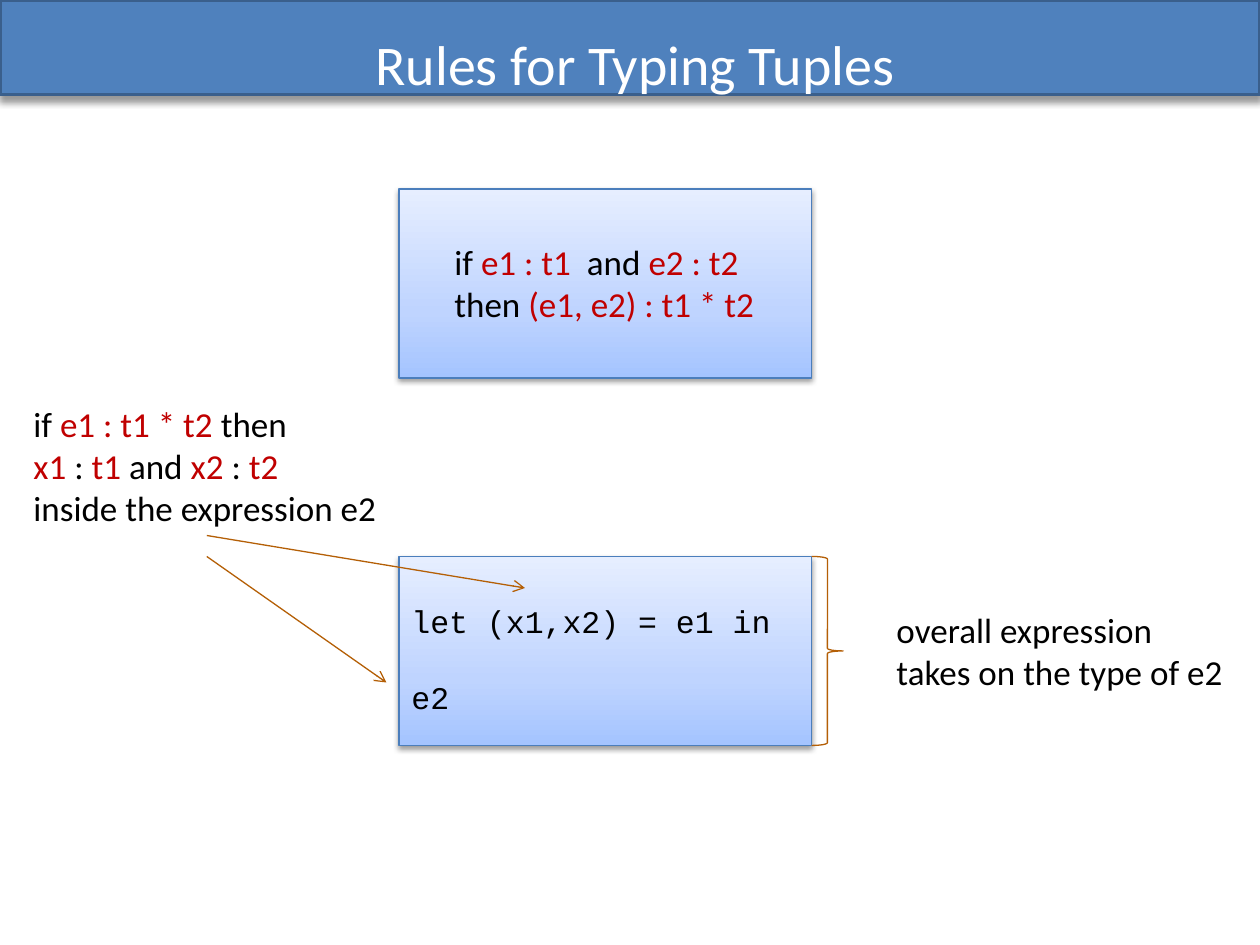
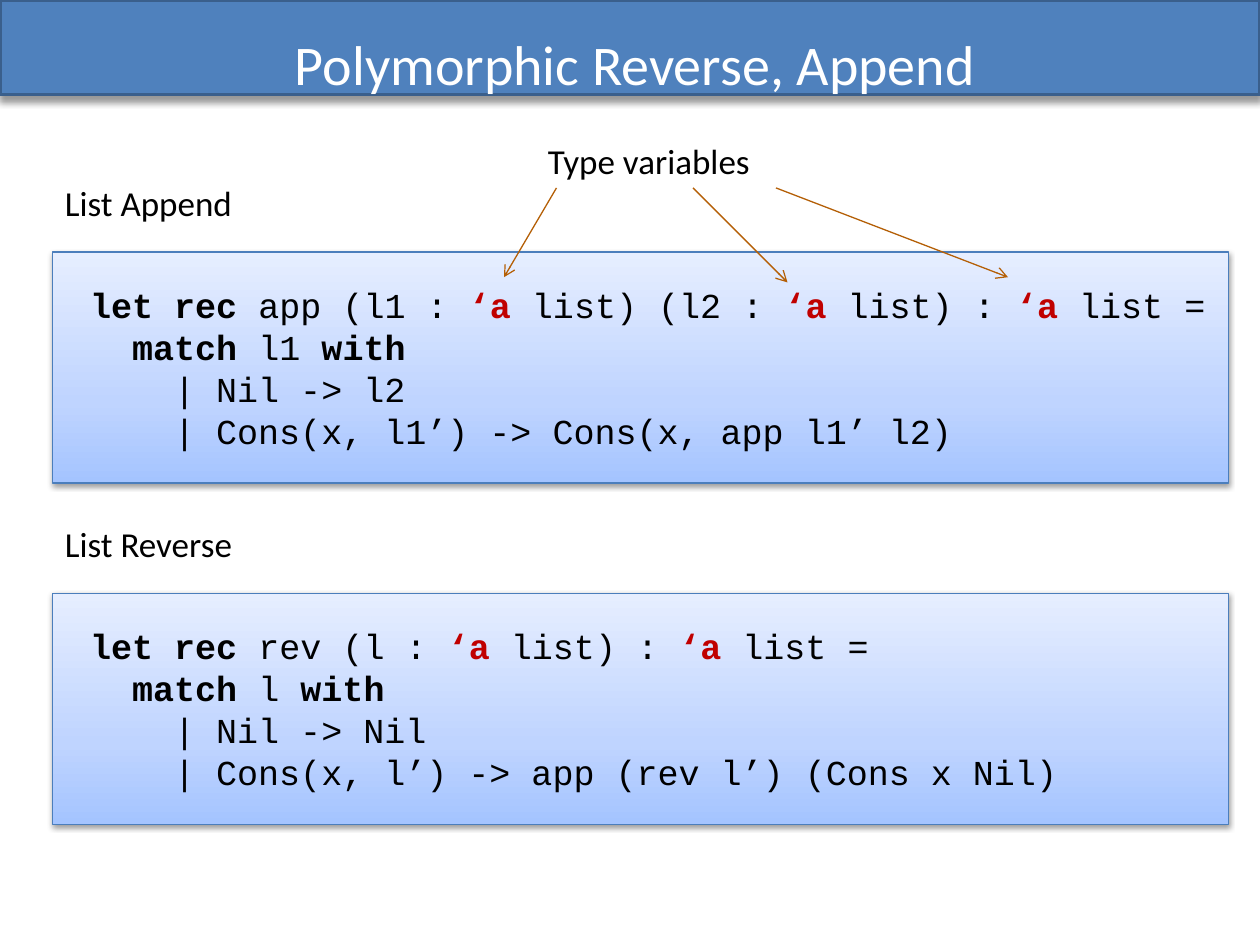
from pptx import Presentation
from pptx.dml.color import RGBColor as RGB
from pptx.enum.shapes import MSO_CONNECTOR as LINK, MSO_SHAPE as SHAPE
from pptx.enum.text import MSO_ANCHOR as ANCHOR, MSO_AUTO_SIZE as AUTO, PP_ALIGN as ALIGN
from pptx.oxml import parse_xml
from pptx.oxml.ns import nsdecls, qn
from pptx.util import Inches, Pt

HUE = {"band": "4F81BD", "edge": "3A5F8C", "rim": "4B7EBC", "low": "A4C4FF", "mid": "BFD4FF",
       "top": "E6EEFF", "link": "B45F06", "mark": "C00000", "ink": "000000", "white": "FFFFFF"}
SANS, MONO = "Calibri", "Courier New"

deck = Presentation()
deck.slide_width, deck.slide_height = Inches(10), Inches(7.5)
CELL = deck.slide_width / 120  # grid of 120 columns and 90 rows


def block(page, at, rim, width, blur, drop, dim):
    """Rectangle with an outline and a soft shadow straight below it."""
    box = page.shapes.add_shape(SHAPE.RECTANGLE, *[round(n * CELL) for n in at])
    box.line.color.rgb = RGB.from_string(HUE[rim])
    box.line.width = Pt(width)
    box.shadow.inherit = False
    box.element.spPr.find(qn("a:effectLst")).append(parse_xml(
        f'<a:outerShdw {nsdecls("a")} blurRad="{Pt(blur)}" dist="{Pt(drop)}" dir="5400000" '
        f'rotWithShape="0"><a:srgbClr val="{HUE["ink"]}"><a:alpha val="{dim * 1000}"/>'
        '</a:srgbClr></a:outerShdw>'))
    return box


def write(frame, lines, font=SANS, size=20):
    """Fill a frame; every second part between ^ signs is stressed."""
    frame.text = "\n".join(lines)
    for para, line in zip(frame.paragraphs, lines):
        para.text = ""
        para.alignment = ALIGN.LEFT
        for i, part in enumerate(line.split("^")):
            if not part:
                continue
            run = para.add_run()
            run.text = part
            run.font.name, run.font.size = font, Pt(size)
            run.font.bold = font == MONO and i % 2 == 1
            red = i % 2 == 1 and (font == SANS or part.startswith("‘"))
            run.font.color.rgb = RGB.from_string(HUE["mark" if red else "ink"])


# Slides with their titles
look = deck.slide_layouts[5]
pages = []
for name in ("Rules for Typing Tuples", "Polymorphic Reverse, Append"):
    page = deck.slides.add_slide(look)
    title = page.shapes.title
    title.left, title.top, title.width, title.height = [
        round(n * CELL) for n in (6.5, -1.5, 108, 15)]
    title.text_frame.text = name
    title.text_frame.vertical_anchor = ANCHOR.MIDDLE
    para = title.text_frame.paragraphs[0]
    para.alignment = ALIGN.CENTER
    font = para.runs[0].font
    font.name, font.size = SANS, Pt(32)
    font.color.rgb = RGB.from_string(HUE["white"])
    pages.append(page)
rules, lists = pages

# Band, shared through the layout
band = block(rules, (0, 0, 120, 9), "edge", 2, 4, 3, 40)
band.fill.solid()
band.fill.fore_color.rgb = RGB.from_string(HUE["band"])
band.element.nvSpPr.cNvPr.set("id", "20")
look.placeholders[0].element.addprevious(band.element)

# Shaded panels
panels = []
for page, at in [(rules, (38, 18, 39.3, 18)), (rules, (38, 53, 39.3, 18)),
                 (lists, (5, 24, 112, 22)), (lists, (5, 56.5, 112, 22))]:
    panel = block(page, at, "rim", 0.75, 3.1, 1.6, 38)
    stops = "".join(f'<a:gs pos="{pos}000"><a:srgbClr val="{HUE[key]}"/></a:gs>'
                    for pos, key in ((0, "low"), (35, "mid"), (100, "top")))
    panel.element.spPr.insert(2, parse_xml(
        f'<a:gradFill {nsdecls("a")} rotWithShape="1"><a:gsLst>{stops}</a:gsLst>'
        '<a:lin ang="16200000" scaled="0"/></a:gradFill>'))
    panels.append(panel)

# Let expression inside the second panel
frame = panels[1].text_frame
frame.vertical_anchor = ANCHOR.TOP
frame.margin_top = Inches(0.36)
write(frame, ["let (x1,x2) = e1 in", "e2"], MONO, 18)
frame.paragraphs[1].space_before = Pt(22)

# Brace beside it
brace = rules.shapes.add_shape(
    SHAPE.RIGHT_BRACE, *[round(n * CELL) for n in (77.3, 53, 3, 18)])
brace.shadow.inherit = False
brace.fill.background()
brace.line.color.rgb = RGB.from_string(HUE["link"])
brace.line.width = Pt(0.75)

# Text: page, place, font, wrap, lines
for page, at, font, wrap, lines in [
    (rules, (42.1, 22.3, 31, 9.2), SANS, False,
     ["if ^e1 : t1  ^and ^e2 : t2 ", "then ^(e1, e2) : t1 * t2"]),
    (rules, (2, 37.7, 35.4, 13.3), SANS, False,
     ["if ^e1 : t1 * t2 ^then", "^x1^ : ^t1^ and ^x2^ : ^t2", "inside the expression e2"]),
    (rules, (84.2, 57.4, 33.7, 9.2), SANS, False,
     ["overall expression ", "takes on the type of e2"]),
    (lists, (51, 12.7, 70.5, 5.3), SANS, True, ["Type variables"]),
    (lists, (5, 16.7, 59, 5.3), SANS, True, ["List Append"]),
    (lists, (5, 49.2, 59, 5.3), SANS, True, ["List Reverse"]),
    (lists, (7.4, 26.4, 109.4, 17.4), MONO, False,
     ["^let rec ^app (l1 : ^‘a ^list) (l2 : ^‘a ^list) : ^‘a ^list =",
      "  ^match^ l1 ^with ",
      "    | Nil -> l2",
      "    | Cons(x, l1’) -> Cons(x, app l1’ l2)"]),
    (lists, (7.4, 58.9, 95.3, 17.4), MONO, False,
     ["^let rec ^rev (l : ^‘a ^list) : ^‘a ^list =",
      "  ^match^ l ^with ",
      "    | Nil -> Nil",
      "    | Cons(x, l’) -> app (rev l’) (Cons x Nil)"]),
]:
    frame = page.shapes.add_textbox(*[round(n * CELL) for n in at]).text_frame
    frame.word_wrap = wrap
    frame.auto_size = AUTO.SHAPE_TO_FIT_TEXT
    write(frame, lines, font)

# Arrows from the remarks to the code
for page, ends in [(rules, (19.7, 51, 50, 56)), (rules, (19.7, 53, 36.8, 65)),
                   (lists, (53, 17.9, 48, 26.4)), (lists, (66, 17.9, 75, 26.9)),
                   (lists, (73.9, 17.9, 96, 26.4))]:
    link = page.shapes.add_connector(LINK.STRAIGHT, *[round(n * CELL) for n in ends])
    link.line.color.rgb = RGB.from_string(HUE["link"])
    link.line.width = Pt(0.75)
    link.get_or_add_ln().append(parse_xml(f'<a:tailEnd {nsdecls("a")} type="arrow"/>'))
    link.element.spPr.append(parse_xml(f'<a:effectLst {nsdecls("a")}/>'))

deck.save("out.pptx")
